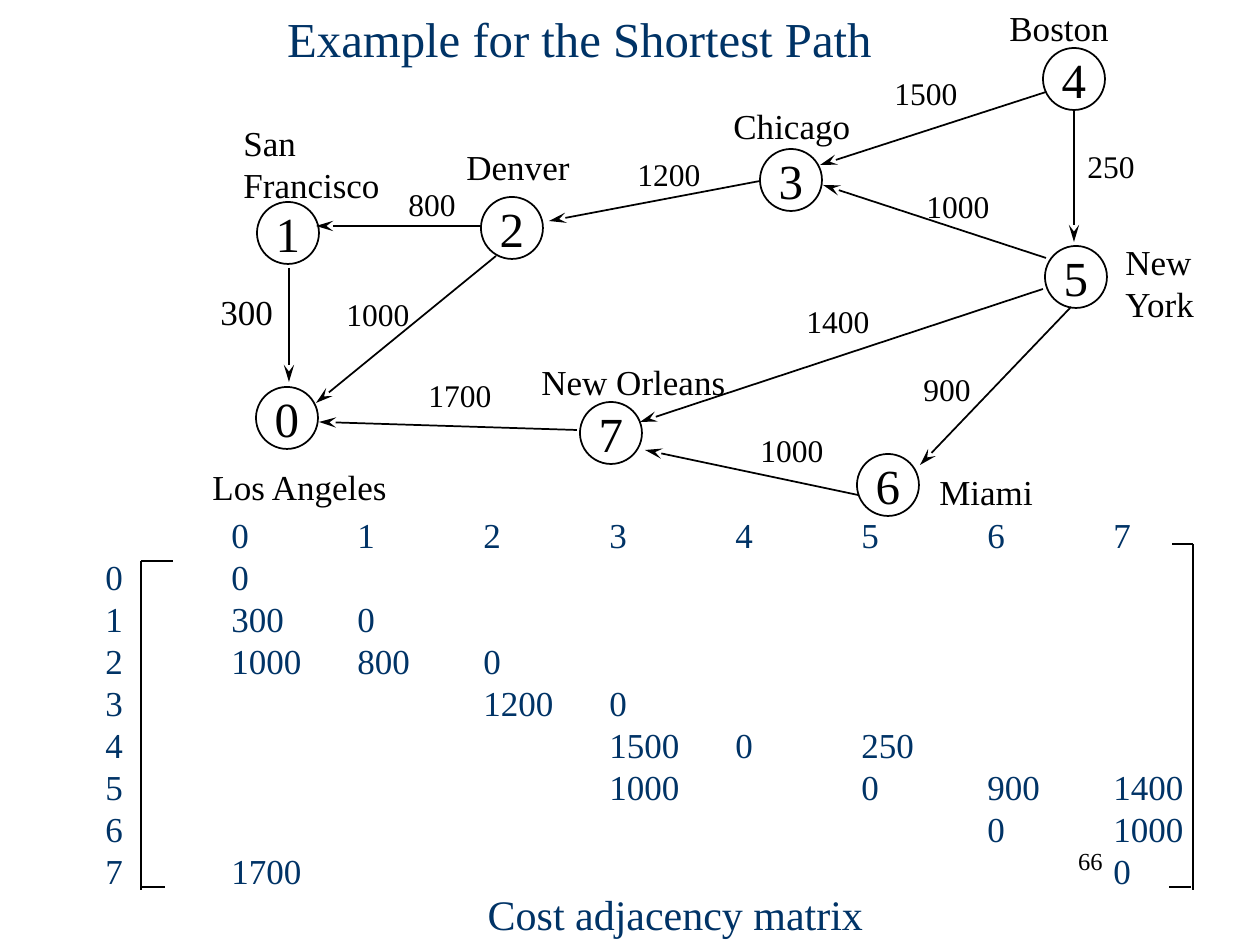
from lxml import etree
from pptx import Presentation
from pptx import util as u
from pptx.dml.color import RGBColor
from pptx.enum import shapes, text
from pptx.oxml.ns import qn

PX_PER_INCH = 126
FONT = "Times New Roman"
COLORS = {"ink": "000000", "navy": "003366", "paper": "FFFFFF"}
NODE_SIZE = 62

NODES = [(256, 387), (257, 202), (481, 197), (760, 149),
         (1043, 48), (1045, 246), (857, 454), (580, 402)]

# origin, destination, cost, line ends, label box (left, top, width), label size
EDGES = [
    (1, 0, 300, (289, 268, 289, 382), (208, 284, 80), 20),
    (2, 1, 800, (480, 226, 316, 226), (396, 179, 75), 18),
    (2, 0, 1000, (496, 256, 316, 403), (334, 289, 90), 18),
    (7, 0, 1700, (577, 430, 319, 422), (416, 370, 90), 18),
    (3, 2, 1200, (760, 181, 549, 221), (625, 149, 90), 18),
    (5, 7, 1400, (1043, 289, 640, 422), (794, 296, 90), 18),
    (5, 6, 900, (1071, 307, 920, 465), (911, 364, 75), 18),
    (6, 7, 1000, (858, 495, 645, 450), (748, 425, 90), 18),
    (5, 3, 1000, (1046, 258, 823, 185), (914, 181, 90), 18),
    (4, 5, 250, (1074, 111, 1074, 242), (1075, 141, 75), 18),
    (4, 3, 1500, (1046, 92, 820, 165), (882, 68, 90), 18),
]

CITIES = [
    (["San", "Francisco"], (231, 115, 166, 97)),
    (["Denver"], (454, 139, 134, 54)),
    (["Chicago"], (721, 98, 147, 54)),
    (["Boston"], (997, 0, 130, 54)),
    (["New", "York"], (1113, 234, 102, 97)),
    (["Miami"], (927, 464, 123, 54)),
    (["New Orleans"], (529, 354, 214, 54)),
    (["Los Angeles"], (200, 459, 207, 54)),
]

BRACKET_LINES = [
    (141, 561, 141, 890), (1193, 544, 1193, 890),
    (141, 561, 173, 561), (141, 887, 165, 887),
    (1191, 887, 1169, 887), (1193, 544, 1172, 544),
]


def px(*lengths):
    return [u.Inches(length / PX_PER_INCH) for length in lengths]


def color(name):
    return RGBColor.from_string(COLORS[name])


def add_tab_stops(paragraph, count):
    properties = paragraph._p.get_or_add_pPr()
    tab_list = etree.SubElement(properties, qn("a:tabLst"))
    for inch in range(1, count + 1):
        etree.SubElement(tab_list, qn("a:tab"), pos=str(u.Inches(inch)), algn="l")


def write_lines(frame, lines, size, color_name, align, tab_count=0):
    for index, line in enumerate(lines):
        paragraph = frame.add_paragraph() if index else frame.paragraphs[0]
        paragraph.alignment = align
        if tab_count:
            add_tab_stops(paragraph, tab_count)
        run = paragraph.add_run()
        run.text = line
        run.font.name = FONT
        run.font.size = u.Pt(size)
        run.font.color.rgb = color(color_name)


def add_text(slide, box, lines, size, color_name="ink", align=text.PP_ALIGN.LEFT,
             anchor=text.MSO_ANCHOR.TOP, wrap=False, tab_count=0):
    frame = slide.shapes.add_textbox(*px(*box)).text_frame
    frame.word_wrap = wrap
    frame.vertical_anchor = anchor
    if not wrap:
        frame.auto_size = text.MSO_AUTO_SIZE.SHAPE_TO_FIT_TEXT
    write_lines(frame, lines, size, color_name, align, tab_count)


def add_node(slide, number, left, top):
    shape = slide.shapes.add_shape(shapes.MSO_SHAPE.OVAL,
                                   *px(left, top, NODE_SIZE, NODE_SIZE))
    shape.shadow.inherit = False
    shape.fill.solid()
    shape.fill.fore_color.rgb = color("paper")
    shape.line.color.rgb = color("ink")
    shape.line.width = u.Pt(1)
    frame = shape.text_frame
    frame.word_wrap = False
    frame.vertical_anchor = text.MSO_ANCHOR.MIDDLE
    write_lines(frame, [str(number)], 28, "ink", text.PP_ALIGN.CENTER)


def add_line(slide, ends, width, arrow=False):
    connector = slide.shapes.add_connector(shapes.MSO_CONNECTOR.STRAIGHT, *px(*ends))
    connector.line.color.rgb = color("ink")
    connector.line.width = u.Pt(width)
    if arrow:
        etree.SubElement(connector.line._get_or_add_ln(), qn("a:tailEnd"),
                         type="stealth", w="med", len="lg")
    etree.SubElement(connector._element.spPr, qn("a:effectLst"))


def matrix_lines():
    nodes = range(len(NODES))
    costs = {(origin, end): cost for origin, end, cost, *_ in EDGES}
    costs.update({(node, node): 0 for node in nodes})
    rows = [["", *nodes]]
    rows += [[row, *(costs.get((row, column), "") for column in nodes)] for row in nodes]
    return ["\t".join(map(str, row)).rstrip("\t") for row in rows]


def main():
    presentation = Presentation()
    presentation.slide_width, presentation.slide_height = u.Inches(10), u.Inches(7.5)
    slide = presentation.slides.add_slide(presentation.slide_layouts[6])
    center, middle = text.PP_ALIGN.CENTER, text.MSO_ANCHOR.MIDDLE

    add_text(slide, (853, 840, 262, 63), ["66"], 14, align=text.PP_ALIGN.RIGHT, wrap=True)
    add_text(slide, (0, 0, 1159, 77), ["Example for the Shortest Path"], 27.9, "navy",
             center, middle, wrap=True)

    for number, (left, top) in enumerate(NODES):
        add_node(slide, number, left, top)
    for _, _, _, ends, _, _ in EDGES:
        add_line(slide, ends, 1, arrow=True)
    for lines, box in CITIES:
        add_text(slide, box, lines, 20)
    for _, _, cost, _, label_box, size in EDGES:
        add_text(slide, (*label_box, 50), [str(cost)], size)

    add_text(slide, (93, 507, 1103, 391), matrix_lines(), 20, "navy",
             anchor=middle, tab_count=len(NODES))
    for ends in BRACKET_LINES:
        add_line(slide, ends, 0.75)
    add_text(slide, (475, 882, 401, 63), ["Cost adjacency matrix"], 24, "navy",
             center, middle)

    presentation.save("out.pptx")


if __name__ == "__main__":
    main()
